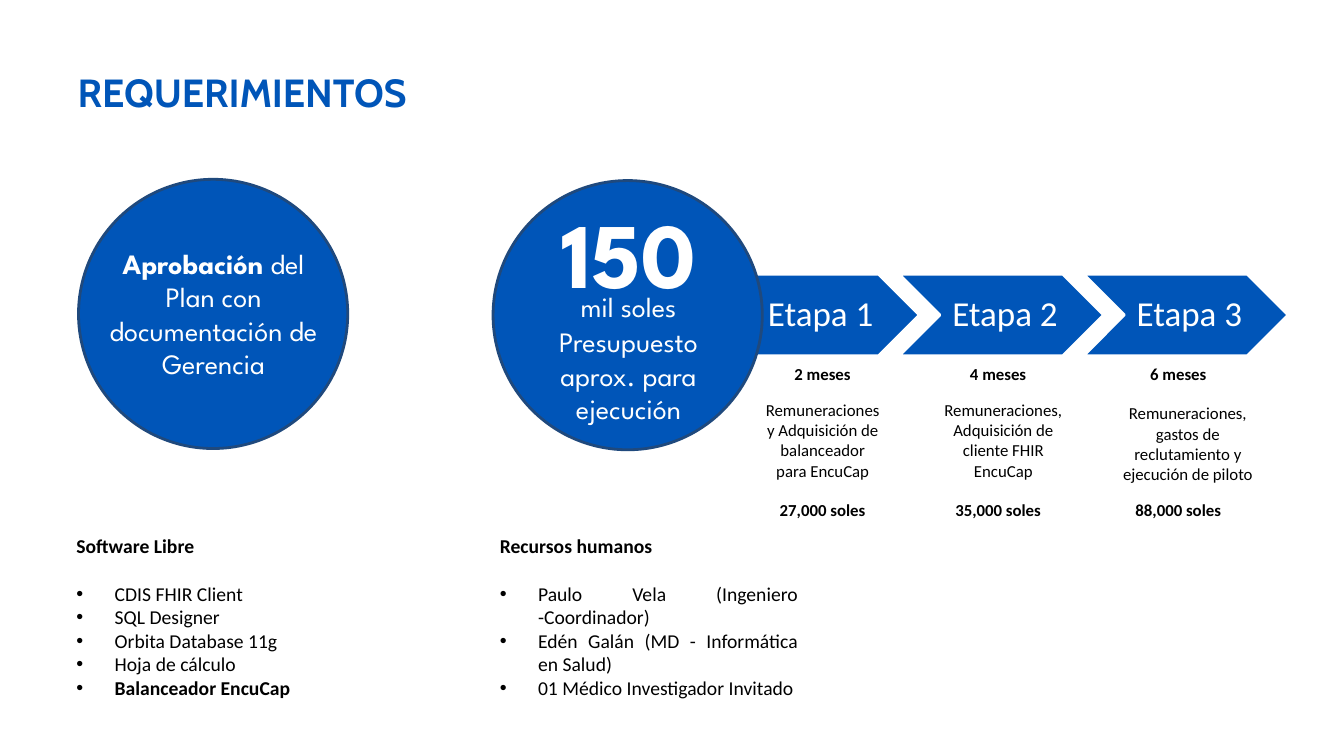
from lxml.etree import SubElement
from pptx import Presentation
from pptx.dml.color import RGBColor as RGB
from pptx.enum.shapes import MSO_SHAPE as SHAPE
from pptx.enum.text import MSO_ANCHOR as ANCHOR, PP_ALIGN as ALIGN
from pptx.oxml.ns import qn
from pptx.util import Inches, Pt

COLORS = {"blue": "0055B8", "navy": "1F497D", "white": "FFFFFF", "black": "000000"}
FORMATS = {
    "title": dict(name="Cabin", size=Pt(28), bold=True, color="blue"),
    "number": dict(name="League Spartan", size=Pt(66), bold=True, color="white"),
    "circle": dict(name="League Spartan", size=Pt(20), bold=False, color="white"),
    "circle_bold": dict(name="League Spartan", size=Pt(20), bold=True, color="white"),
    "stage": dict(name="Calibri", size=Pt(25), bold=False, color="white"),
    "detail": dict(name="Calibri", size=Pt(12), bold=False, color="black"),
    "detail_bold": dict(name="Calibri", size=Pt(12), bold=True, color="black"),
    "item": dict(name="Calibri", size=Pt(14), bold=False, color="black"),
    "item_bold": dict(name="Calibri", size=Pt(14), bold=True, color="black"),
}
WIDTH, HEIGHT = Inches(13.333), Inches(7.5)
COLS, ROWS = 32, 18
PADDING = (0.1, 0.05, 0.1, 0.05)
FLUSH = (0, 0, 0, 0)


class Board:
    """Style and current slide, measured in grid columns and rows."""

    def __init__(self, prs):
        self.s = prs.slides.add_slide(prs.slide_layouts[6])

    def place(self, x, y, w, h):
        return [int(n) for n in (x * WIDTH / COLS, y * HEIGHT / ROWS,
                                 w * WIDTH / COLS, h * HEIGHT / ROWS)]

    def frame(self, sp, insets, anchor=ANCHOR.TOP, wrap=True):
        tf = sp.text_frame
        sides = ("left", "top", "right", "bottom")
        values = {f"margin_{side}": Inches(n) for side, n in zip(sides, insets)}
        values.update(word_wrap=wrap, vertical_anchor=anchor)
        for key, value in values.items():
            setattr(tf, key, value)
        return tf

    def run(self, p, text, fmt):
        r = p.add_run()
        r.text = text
        for key, value in FORMATS[fmt].items():
            if key == "color":
                r.font.color.rgb = RGB.from_string(COLORS[value])
            else:
                setattr(r.font, key, value)

    def shape(self, kind, box, line):
        sp = self.s.shapes.add_shape(kind, *self.place(*box))
        sp.shadow.inherit = False
        sp.fill.solid()
        sp.fill.fore_color.rgb = RGB.from_string(COLORS["blue"])
        sp.line.color.rgb = RGB.from_string(COLORS[line])
        sp.line.width = Pt(2)
        return sp

    def chevron(self, box, text):
        sp = self.shape(SHAPE.CHEVRON, box, "white")
        tf = self.frame(sp, (0.11, 0.04, 0.04, 0.04), ANCHOR.MIDDLE, wrap=False)
        p = tf.paragraphs[0]
        p.alignment, p.line_spacing = ALIGN.CENTER, 0.9
        self.run(p, text, "stage")

    def text(self, box, *runs, align=ALIGN.CENTER, insets=PADDING):
        sp = self.s.shapes.add_textbox(*self.place(*box))
        p = self.frame(sp, insets).paragraphs[0]
        p.alignment = align
        for text, fmt in runs:
            self.run(p, text, fmt)
        return sp.text_frame

    def bullets(self, box, heading, items, align):
        tf = self.text(box, (heading, "item_bold"), align=ALIGN.LEFT, insets=FLUSH)
        for i, (text, fmt) in enumerate(items):
            p = tf.add_paragraph()
            pPr = p._p.get_or_add_pPr()
            pPr.set("marL", str(Inches(0.38)))
            pPr.set("indent", str(-Inches(0.38)))
            SubElement(pPr, qn("a:buFont")).set("typeface", "Arial")
            SubElement(pPr, qn("a:buChar")).set("char", "•")
            p.alignment = align
            p.space_before = Pt(0 if i else 17)
            self.run(p, text, fmt)


# Name, duration, cost, detail; caption column; detail column, row and width
STAGES = [
    ("Etapa 1", "2 meses", "27,000 soles",
     "Remuneraciones y Adquisición de balanceador para EncuCap", 17.98, (17.98, 9.4, 3.22)),
    ("Etapa 2", "4 meses", "35,000 soles",
     "Remuneraciones, Adquisición de cliente FHIR EncuCap", 22.16, (22.16, 9.4, 3.46)),
    ("Etapa 3", "6 meses", "88,000 soles",
     "Remuneraciones, gastos de reclutamiento y ejecución de piloto", 26.45, (26.28, 9.48, 4.01)),
]
SOFTWARE = [("CDIS FHIR Client", "item"), ("SQL Designer", "item"),
            ("Orbita Database 11g", "item"), ("Hoja de cálculo", "item"),
            ("Balanceador EncuCap", "item_bold")]
PEOPLE = [("Paulo Vela (Ingeniero -Coordinador)", "item"),
          ("Edén Galán (MD - Informática en Salud)", "item"),
          ("01 Médico Investigador Invitado", "item")]


def main():
    prs = Presentation()
    prs.slide_width, prs.slide_height = WIDTH, HEIGHT
    board = Board(prs)

    # Title
    board.text((1.85, 1.63, 13.68, 1.13), ("REQUERIMIENTOS", "title"),
               align=ALIGN.LEFT, insets=FLUSH)

    # Stages, behind the budget circle
    for i, (name, months, cost, detail, x, (dx, dy, dw)) in enumerate(STAGES):
        board.chevron((17.02 + 4.39 * i, 6.53, 4.87, 1.94), name)
        board.text((x, 8.55, 3.21, 0.72), (months, "detail_bold"))
        board.text((dx, dy, dw, 2.18), (detail, "detail"))
        board.text((x, 11.77, 3.21, 0.72), (cost, "detail_bold"))

    # Approval circle
    board.shape(SHAPE.OVAL, (1.87, 4.27, 6.41, 6.41), "navy")
    board.text((2.35, 5.74, 5.47, 3.48), ("Aprobación ", "circle_bold"),
               ("del Plan con documentación de Gerencia", "circle"))

    # Budget circle
    board.shape(SHAPE.OVAL, (11.74, 4.3, 6.41, 6.41), "navy")
    for y, h, text, fmt in [(4.56, 2.9, "150", "number"),
                            (6.77, 1.06, "mil soles", "circle"),
                            (7.61, 2.66, "Presupuesto aprox. para ejecución", "circle")]:
        board.text((12.23, y, 5.47, h), (text, fmt))

    # Resource lists
    board.bullets((1.82, 12.72, 5.83, 4.03), "Software Libre", SOFTWARE, ALIGN.LEFT)
    board.bullets((11.9, 12.72, 7.1, 5.26), "Recursos humanos", PEOPLE, ALIGN.JUSTIFY)

    prs.save("out.pptx")


if __name__ == "__main__":
    main()
